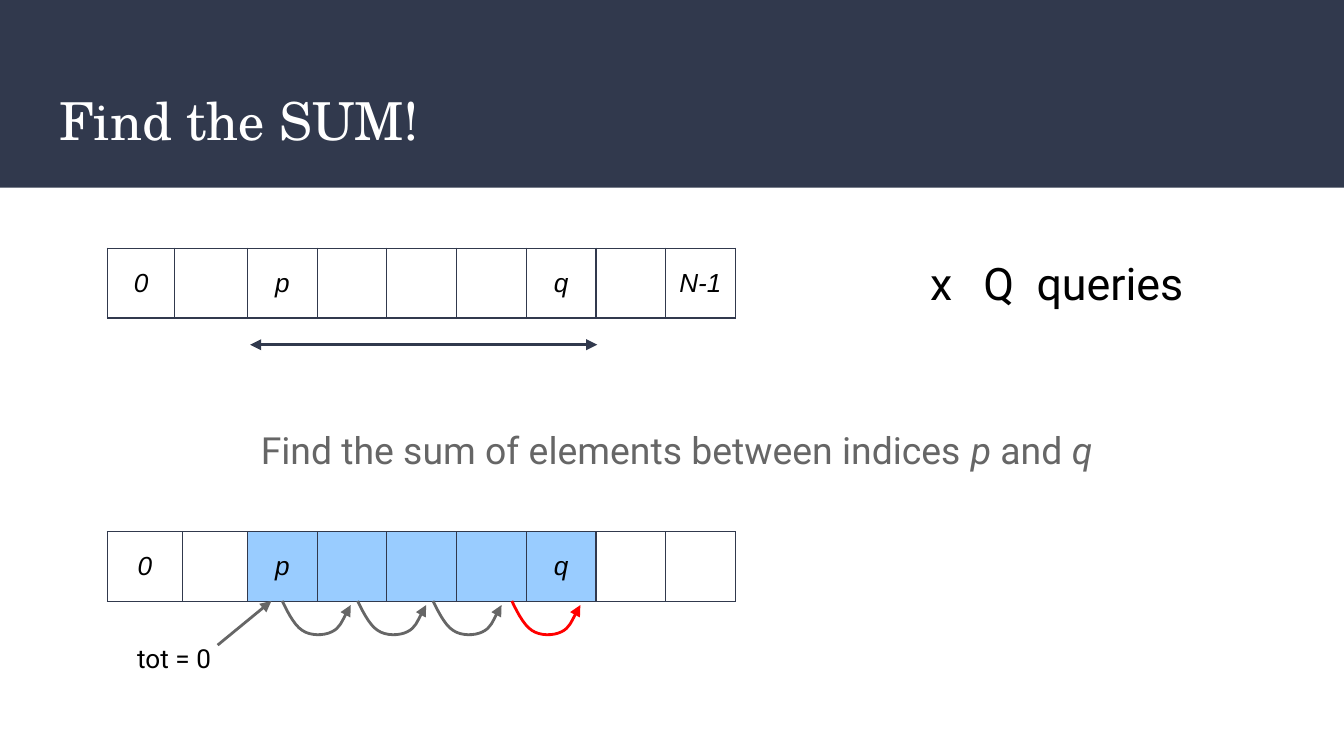
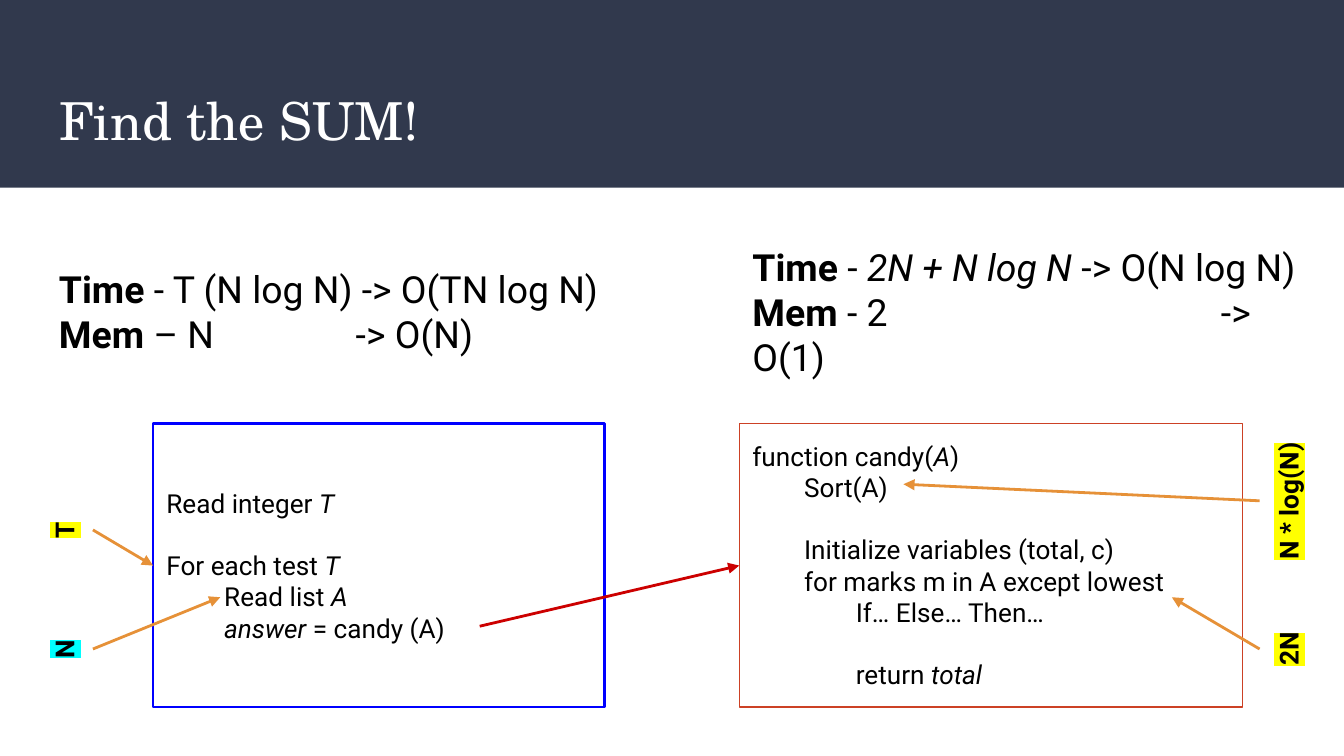
"""Build two slides on range sums: the array walk and its cost analysis."""
from lxml.etree import SubElement
from pptx import Presentation
from pptx.dml.color import RGBColor
from pptx.enum.shapes import MSO_CONNECTOR, MSO_SHAPE
from pptx.enum.text import MSO_ANCHOR, MSO_AUTO_SIZE, PP_ALIGN
from pptx.oxml.ns import qn
from pptx.util import Pt

COLORS = {
    "navy": "31394D", "white": "FFFFFF", "black": "000000", "gray": "666666",
    "sky": "99CCFF", "red": "FF0000", "crimson": "CC0000", "brick": "CC4125",
    "blue": "0000FF", "orange": "E69138", "yellow": "FFFF00", "cyan": "00FFFF",
}
PAGE_WIDTH, PAGE_HEIGHT, BAND_HEIGHT = 720, 405, 100.5
INSET, BLANK_LINE = 7.2, 16.5
TITLE = "Find the SUM!"
TITLE_FONT, BODY_FONT, CELL_FONT = "TeX Gyre Schola", "Roboto", "Arial"


def line(*runs, level=0, gap=0):
    """Describe one paragraph; a run is a string or a (text, style) pair."""
    pairs = [(run, "") if isinstance(run, str) else run for run in runs]
    return {"runs": pairs, "level": level, "gap": gap}


ARRAY_LEFT, ARRAY_HEIGHT, CELL_WIDTH = 57.6, 37.4, 37.35
ARRAYS = [
    {"top": 133, "lead": [36, 39], "shaded": range(0),
     "labels": ["0", "", "p", "", "", "", "q", "", "N-1"]},
    {"top": 284.8, "lead": [40, 35], "shaded": range(2, 7),
     "labels": ["0", "", "p", "", "", "", "q", "", ""]},
]
TASK = line("Find the sum of elements between indices ", ("p", "i"), " and ", ("q", "i"))
HOP_TOP = 322
HOPS = [(151.2, "gray"), (191.6, "gray"), (232, "gray"), (274.2, "red")]
HOP_CURVE = [(1.5, 3), (6, 13), (10.8, 15.8), (15, 18.7), (22.3, 18.7),
             (26.6, 16.5), (31, 14.4), (35.3, 4.3), (36.7, 2.2)]

COSTS = [
    {"left": 24.5, "tab": 159, "lines": [
        line(("Time ", "b"), "- T (N log N) -> O(TN log N)"),
        line(("Mem ", "b"), "– N\t-> O(N)")]},
    {"left": 396, "tab": 251, "lines": [
        line(("Time ", "b"), "- ", ("2N + N log N ", "i"), "-> O(N log N)"),
        line(("Mem ", "b"), "- 2\t-> O(1)")]},
]
PROGRAMS = [
    {"left": 82, "width": 242, "color": "blue", "weight": 1.5, "step": 31, "lines": [
        line("Read integer ", ("T", "i")),
        line("For each test ", ("T", "i"), gap=BLANK_LINE),
        line("Read list ", ("A", "i"), level=1),
        line(("answer ", "i"), "= candy (A)", level=1)]},
    {"left": 396, "width": 269.5, "color": "brick", "weight": 0.75, "step": 27.7, "lines": [
        line("function candy(", ("A", "i"), ")"),
        line("Sort(A)", level=1),
        line("Initialize variables (total, c)", level=1, gap=BLANK_LINE),
        line("for marks m in A except lowest", level=1),
        line("If… Else… Then…", level=2),
        line("return ", ("total", "i"), level=2, gap=BLANK_LINE)]},
]
COST_TAGS = [
    ("N * log(N)", 690.5, 268.5, 91, "yellow"),
    ("2N", 690.5, 347.7, 91, "yellow"),
    ("T", 34.6, 284, 29, "yellow"),
    ("N", 34.6, 347.7, 29, "cyan"),
]
COST_ARROWS = [
    ((257, 335.5), (396, 303), "crimson"),
    ((674.8, 268.3), (484, 259.4), "orange"),
    ((674.8, 347.7), (627.8, 320), "orange"),
    ((49.8, 283.9), (82, 303), "orange"),
    ((49.8, 347.7), (118, 320), "orange"),
]


def rgb(name):
    return RGBColor.from_string(COLORS[name])


def write(frame, lines, size=14, font=BODY_FONT, color="black", align=PP_ALIGN.LEFT,
          step=0, tabs=(), spacing=None, highlight=None):
    for index, entry in enumerate(lines):
        para = frame.paragraphs[0] if index == 0 else frame.add_paragraph()
        para.alignment = align
        if spacing:
            para.line_spacing = spacing
        if entry["gap"]:
            para.space_before = Pt(entry["gap"])
        properties = para._p.get_or_add_pPr()
        if entry["level"]:
            properties.set("marL", str(Pt(step * entry["level"])))
            properties.set("indent", "0")
        if tabs:
            stops = SubElement(properties, qn("a:tabLst"))
            for stop in tabs:
                SubElement(stops, qn("a:tab"), pos=str(Pt(stop)), algn="l")
        for text, style in entry["runs"]:
            span = para.add_run()
            span.text = text
            span.font.size = Pt(size)
            span.font.name = font
            span.font.bold = "b" in style
            span.font.italic = "i" in style
            span.font.color.rgb = rgb(color)
            if highlight:
                run_properties = span._r.get_or_add_rPr()
                mark = SubElement(run_properties, qn("a:highlight"))
                SubElement(mark, qn("a:srgbClr"), val=COLORS[highlight])
                run_properties.find(qn("a:solidFill")).addnext(mark)


def set_frame(frame, anchor=MSO_ANCHOR.TOP, left_inset=INSET):
    frame.word_wrap = True
    frame.auto_size = MSO_AUTO_SIZE.NONE
    frame.vertical_anchor = anchor
    frame.margin_left = Pt(left_inset)
    frame.margin_right = frame.margin_top = frame.margin_bottom = Pt(INSET)


def add_text(page, lines, left, top, width, height, anchor=MSO_ANCHOR.TOP,
             left_inset=INSET, rotation=0, **style):
    box = page.shapes.add_textbox(Pt(left), Pt(top), Pt(width), Pt(height))
    box.rotation = rotation
    set_frame(box.text_frame, anchor, left_inset)
    write(box.text_frame, lines, **style)


def style_line(shape, color, weight=1.5, ends=()):
    shape.line.color.rgb = rgb(color)
    shape.line.width = Pt(weight)
    for end in ends:
        SubElement(shape.get_or_add_ln(), qn(f"a:{end}"), type="triangle")


def add_arrow(page, start, finish, color, ends=("tailEnd",)):
    arrow = page.shapes.add_connector(
        MSO_CONNECTOR.STRAIGHT, *(Pt(value) for value in start + finish))
    style_line(arrow, color, ends=ends)
    SubElement(arrow.element.spPr, qn("a:effectLst"))


def add_hop(page, left, color):
    builder = page.shapes.build_freeform(Pt(left), Pt(HOP_TOP))
    builder.add_line_segments(
        [(Pt(left + x), Pt(HOP_TOP + y)) for x, y in HOP_CURVE], close=False)
    hop = builder.convert_to_shape()
    hop.shadow.inherit = False
    hop.fill.background()
    style_line(hop, color, ends=("tailEnd",))
    outline = hop.element.find(".//" + qn("a:path"))
    segments = outline.findall(qn("a:lnTo"))
    for first in range(0, len(segments), 3):
        curve = SubElement(outline, qn("a:cubicBezTo"))
        for segment in segments[first:first + 3]:
            curve.append(segment[0])
            outline.remove(segment)


def set_borders(cell):
    properties = cell._tc.get_or_add_tcPr()
    for index, side in enumerate(("lnL", "lnR", "lnT", "lnB")):
        border = properties.makeelement(qn(f"a:{side}"), {"w": str(Pt(0.75))})
        fill = SubElement(border, qn("a:solidFill"))
        SubElement(fill, qn("a:srgbClr"), val=COLORS["navy"])
        properties.insert(index, border)


def add_array(page, top, lead, shaded, labels):
    widths = lead + [CELL_WIDTH] * (len(labels) - len(lead))
    table = page.shapes.add_table(1, len(labels), Pt(ARRAY_LEFT), Pt(top),
                                  Pt(sum(widths)), Pt(ARRAY_HEIGHT)).table
    table.first_row = table.horz_banding = False
    for index, (label, width) in enumerate(zip(labels, widths)):
        table.columns[index].width = Pt(width)
        cell = table.cell(0, index)
        cell.vertical_anchor = MSO_ANCHOR.MIDDLE
        cell.margin_left = cell.margin_right = Pt(INSET)
        cell.margin_top = cell.margin_bottom = Pt(INSET)
        if index in shaded:
            cell.fill.solid()
            cell.fill.fore_color.rgb = rgb("sky")
        else:
            cell.fill.background()
        set_borders(cell)
        if label:
            write(cell.text_frame, [line((label, "i"))], font=CELL_FONT,
                  align=PP_ALIGN.CENTER)
        else:
            cell.text_frame.paragraphs[0].font.size = Pt(14)


def add_page(deck):
    page = deck.slides.add_slide(deck.slide_layouts[5])
    title = page.shapes.title
    band = page.shapes.add_shape(MSO_SHAPE.RECTANGLE, 0, 0, Pt(PAGE_WIDTH), Pt(BAND_HEIGHT))
    band.shadow.inherit = False
    band.fill.solid()
    band.fill.fore_color.rgb = rgb("navy")
    band.line.fill.background()
    title.element.addprevious(band.element)
    title.left, title.top, title.width, title.height = Pt(24.5), Pt(39.6), Pt(671), Pt(49)
    set_frame(title.text_frame, MSO_ANCHOR.MIDDLE)
    write(title.text_frame, [line(TITLE)], size=28, font=TITLE_FONT, color="white")
    return page


def build_array_page(deck):
    page = add_page(deck)
    for array in ARRAYS:
        add_array(page, **array)
    add_arrow(page, (134, 184.7), (320, 184.7), "navy", ends=("headEnd", "tailEnd"))
    add_text(page, [line("x\tQ\tqueries")], 485.3, 129.6, 200, 44, left_inset=13,
             size=24, tabs=(28.5, 57))
    add_text(page, [TASK], 24.5, 218.2, 676, 160, size=20, color="gray",
             align=PP_ALIGN.CENTER, spacing=1.15)
    for left, color in HOPS:
        add_hop(page, left, color)
    add_text(page, [line("tot = 0")], 59, 337, 61.2, 31.7, align=PP_ALIGN.RIGHT)
    add_arrow(page, (116.6, 345.6), (145.4, 322), "gray")


def build_cost_page(deck):
    page = add_page(deck)
    for program in PROGRAMS:
        box = page.shapes.add_shape(MSO_SHAPE.RECTANGLE, Pt(program["left"]), Pt(226.8),
                                    Pt(program["width"]), Pt(152))
        box.shadow.inherit = False
        box.fill.background()
        style_line(box, program["color"], program["weight"])
        set_frame(box.text_frame, MSO_ANCHOR.MIDDLE)
        write(box.text_frame, program["lines"], step=program["step"])
    for cost in COSTS:
        add_text(page, cost["lines"], cost["left"], 125, 310.3, 83.5,
                 anchor=MSO_ANCHOR.MIDDLE, size=20, tabs=(cost["tab"],))
    for text, center, middle, width, color in COST_TAGS:
        add_text(page, [line((text, "b"))], center - width / 2, middle - 16, width, 32,
                 rotation=270, align=PP_ALIGN.CENTER, highlight=color)
    for start, finish, color in COST_ARROWS:
        add_arrow(page, start, finish, color)


def main():
    deck = Presentation()
    deck.slide_width, deck.slide_height = Pt(PAGE_WIDTH), Pt(PAGE_HEIGHT)
    build_array_page(deck)
    build_cost_page(deck)
    deck.save("out.pptx")


if __name__ == "__main__":
    main()
